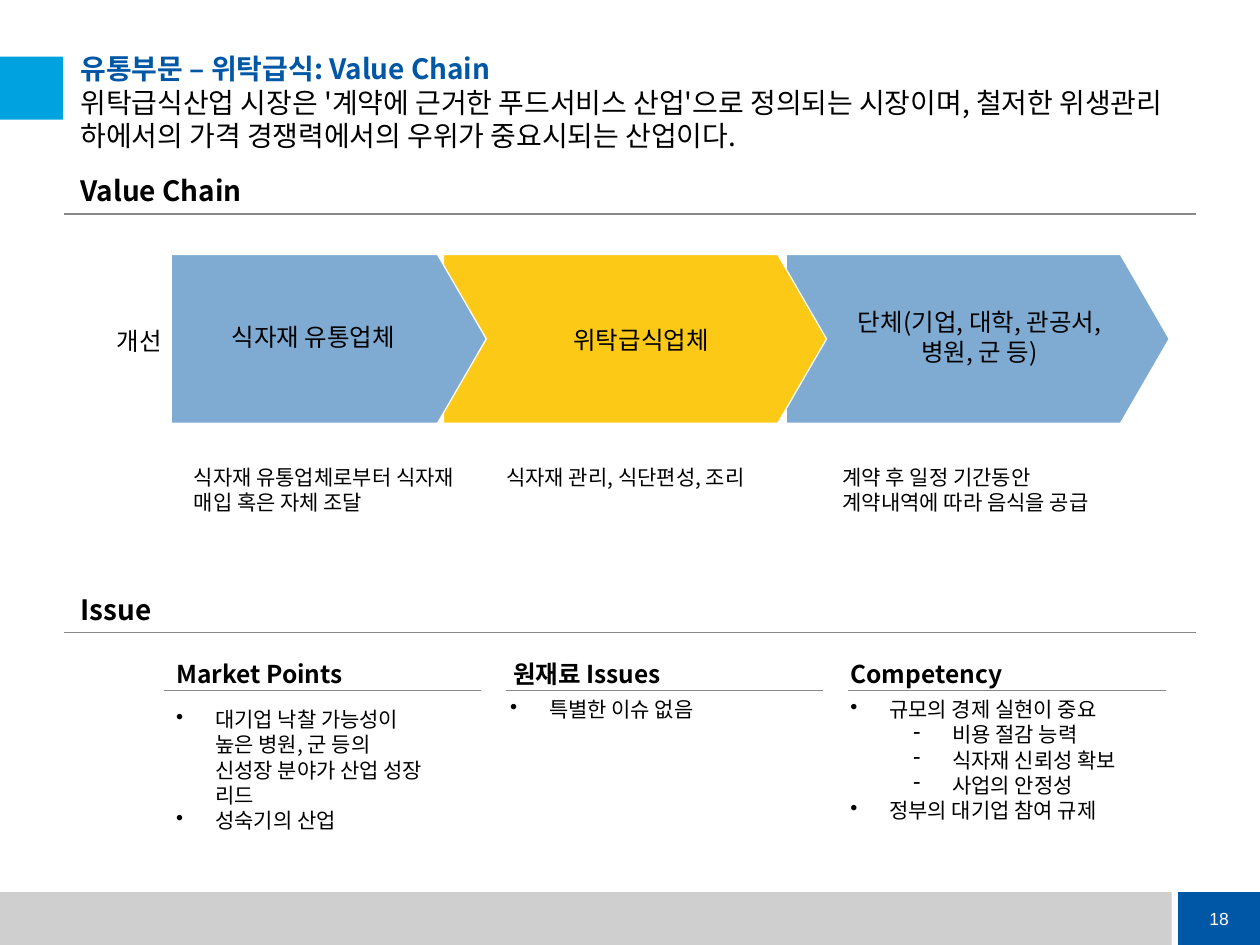
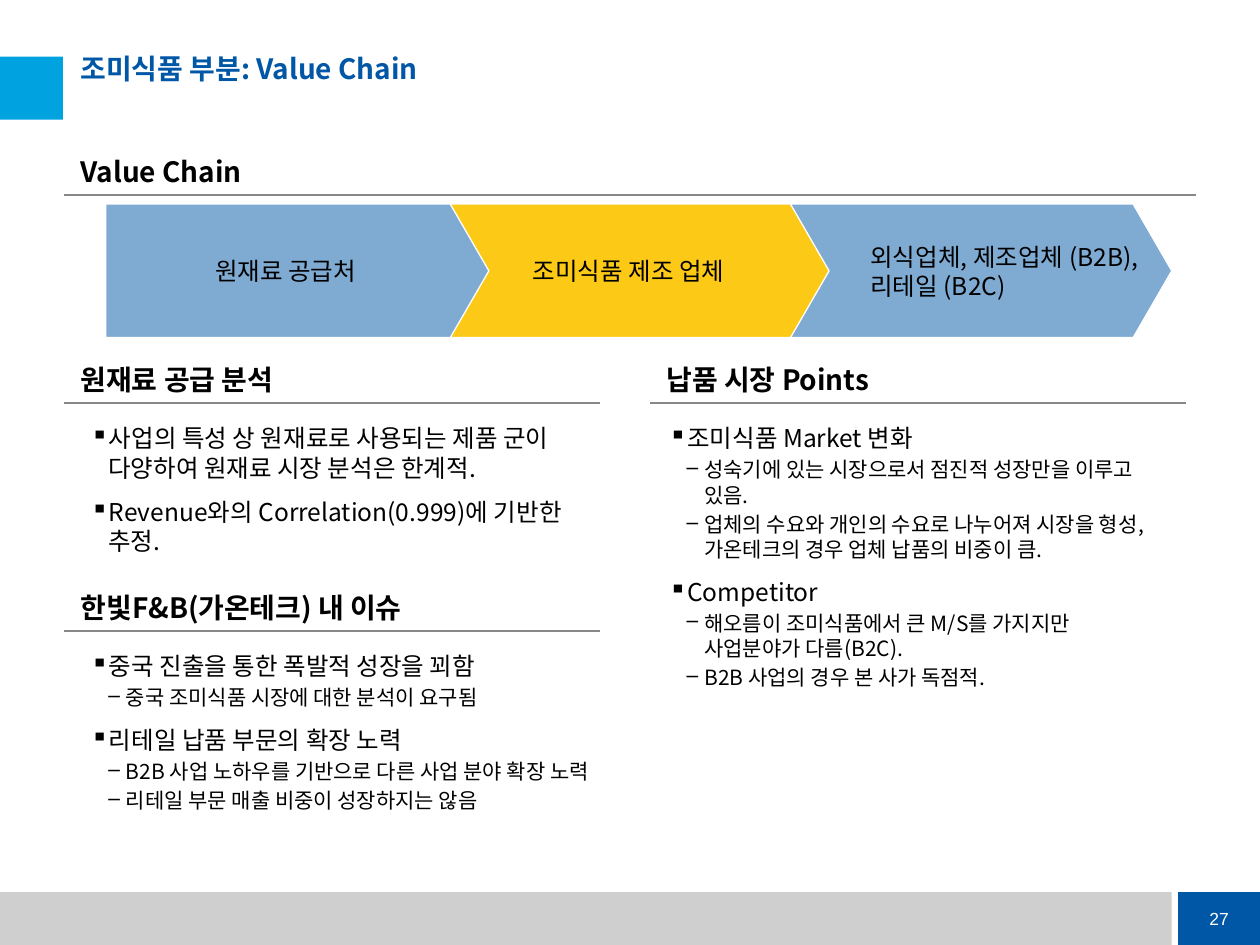
from lxml import etree
from pptx import Presentation
from pptx.dml.color import RGBColor
from pptx.enum.shapes import MSO_CONNECTOR, MSO_SHAPE
from pptx.enum.text import MSO_ANCHOR, PP_ALIGN
from pptx.oxml.ns import qn
from pptx.util import Inches, Pt

WHITE = RGBColor(0xFF, 0xFF, 0xFF)
BLACK = RGBColor(0, 0, 0)
GREY = RGBColor(0xCF, 0xCF, 0xCF)
RULE = RGBColor(0x88, 0x88, 0x88)
NAVY = RGBColor(0x00, 0x57, 0xA6)
CYAN = RGBColor(0x00, 0xA2, 0xDF)
BLUE = RGBColor(0x7F, 0xAB, 0xD2)
YELLOW = RGBColor(0xFC, 0xC9, 0x17)
FONT = "Noto Sans CJK KR"
STEP_COLORS = (BLUE, YELLOW, BLUE)


def style(r, size, color=BLACK, bold=False, name=FONT):
    f = r.font
    f.size, f.bold, f.name = Pt(size), bold, name
    f.color.rgb = color
    ea = etree.SubElement(r._r.get_or_add_rPr(), qn("a:ea"))
    ea.set("typeface", name)


def style_all(p, *args, **kwargs):
    for r in p.runs:
        style(r, *args, **kwargs)


def add_box(s, x, y, w, h, inset=True):
    tf = s.shapes.add_textbox(Inches(x), Inches(y), Inches(w), Inches(h)).text_frame
    tf.word_wrap = True
    if not inset:
        tf.margin_left = tf.margin_right = tf.margin_top = tf.margin_bottom = 0
    return tf


def add_text(s, x, y, w, h, text, size, bold=False, align=PP_ALIGN.LEFT, inset=True):
    p = add_box(s, x, y, w, h, inset).paragraphs[0]
    p.text = text
    p.alignment = align
    style_all(p, size, bold=bold)


def add_rule(s, x1, x2, y):
    ln = s.shapes.add_connector(
        MSO_CONNECTOR.STRAIGHT, Inches(x1), Inches(y), Inches(x2), Inches(y))
    ln.line.color.rgb = RULE
    ln.line.width = Pt(1)
    etree.SubElement(ln._element.spPr, qn("a:effectLst"))


def add_shape(s, kind, x, y, w, h, fill):
    sp = s.shapes.add_shape(kind, Inches(x), Inches(y), Inches(w), Inches(h))
    sp.shadow.inherit = False
    sp.fill.solid()
    sp.fill.fore_color.rgb = fill
    sp.line.fill.background()
    return sp


def add_chain(s, y, h, spans):
    for (x, w), color in reversed(list(zip(spans, STEP_COLORS))):
        sp = add_shape(s, MSO_SHAPE.PENTAGON, x, y, w, h, color)
        sp.adjustments[0] = 0.289
        sp.line.color.rgb = WHITE
        sp.line.width = Pt(0.75)


def add_section(s, x, y, text, width=4.25):
    add_text(s, x + 0.13, y - 0.32, 4.12, 0.25, text, 16, bold=True, inset=False)
    add_rule(s, x, x + width, y)


def set_bullet(p, char, left, hang):
    pPr = p._p.get_or_add_pPr()
    pPr.set("marL", str(Inches(left)))
    pPr.set("indent", str(-Inches(hang)))
    etree.SubElement(pPr, qn("a:buChar")).set("char", char)


def add_paragraphs(tf, items):
    for i, (level, text) in enumerate(items):
        p = tf.paragraphs[0] if i == 0 else tf.add_paragraph()
        p.text = text
        p.level = level
        yield i, level, p


def add_points(s, x, y, w, h, items):
    for _, level, p in add_paragraphs(add_box(s, x, y, w, h), items):
        set_bullet(p, "•-"[level], 0.31 + 0.5 * level, 0.31)
        style_all(p, 12)


def add_outline(s, x, y, h, items):
    for i, level, p in add_paragraphs(add_box(s, x, y, 3.97, h, inset=False), items):
        size, ratio = ((14, 0.6), (12, 0.2))[level]
        p.space_before = Pt(round(size * ratio, 1) if i else 0)
        set_bullet(p, "▪–"[level], 0.14 * (level + 1), 0.14)
        style_all(p, size)


def add_base_slide(prs, number, title, lead=""):
    s = prs.slides.add_slide(prs.slide_layouts[6])
    add_shape(s, MSO_SHAPE.RECTANGLE, 0, 7.08, 9.3, 0.42, GREY)
    tf = add_shape(s, MSO_SHAPE.RECTANGLE, 9.35, 7.08, 0.65, 0.42, NAVY).text_frame
    tf.text = str(number)
    tf.word_wrap = False
    tf.vertical_anchor = MSO_ANCHOR.MIDDLE
    p = tf.paragraphs[0]
    p.alignment = PP_ALIGN.CENTER
    style_all(p, 10, WHITE, name="Arial")
    add_shape(s, MSO_SHAPE.RECTANGLE, 0, 0.45, 0.5, 0.5, CYAN)
    p = add_box(s, 0.64, 0.41, 8.7, 0.66, inset=False).paragraphs[0]
    p.text = title
    style_all(p, 16, NAVY, bold=True)
    if lead:
        p.add_line_break()
        r = p.add_run()
        r.text = lead
        style(r, 16)
    return s


def build_catering(prs):
    s = add_base_slide(
        prs, 18, "유통부문 – 위탁급식: Value Chain",
        "위탁급식산업 시장은 '계약에 근거한 푸드서비스 산업'으로 정의되는 시장이며, "
        "철저한 위생관리 하에서의 가격 경쟁력에서의 우위가 중요시되는 산업이다.")
    add_section(s, 0.51, 1.7, "Value Chain", 8.98)
    add_section(s, 0.51, 5.02, "Issue", 8.98)

    add_chain(s, 2.02, 1.34, [(1.36, 2.5), (3.52, 3.04), (6.24, 3.04)])
    add_text(s, 0.83, 2.54, 0.6, 0.34, "개선", 14)
    add_text(s, 1.74, 2.51, 2.36, 0.34, "식자재 유통업체", 14)
    add_text(s, 4.21, 2.53, 1.76, 0.34, "위탁급식업체", 14, align=PP_ALIGN.CENTER)
    add_text(s, 6.71, 2.39, 2.13, 0.57, "단체(기업, 대학, 관공서, 병원, 군 등)", 14,
             align=PP_ALIGN.CENTER)

    for x, w, text in (
            (1.44, 2.3, "식자재 유통업체로부터 식자재 매입 혹은 자체 조달"),
            (3.92, 2.3, "식자재 관리, 식단편성, 조리"),
            (6.59, 2.36, "계약 후 일정 기간동안 계약내역에 따라 음식을 공급")):
        add_text(s, x, 3.64, w, 0.5, text, 12)

    for i, head in enumerate(("Market Points", "원재료 Issues", "Competency")):
        add_text(s, 1.3 + 2.675 * i, 5.18, 2.36, 0.34, head, 14, bold=True)
        x = 1.3 + 2.715 * i
        add_rule(s, x, x + 2.52, 5.48)
    add_points(s, 1.3, 5.56, 2.36, 1.31, [
        (0, "대기업 낙찰 가능성이\v높은 병원, 군 등의\v신성장 분야가 산업 성장 리드"),
        (0, "성숙기의 산업")])
    add_points(s, 3.95, 5.48, 2.36, 0.3, [(0, "특별한 이슈 없음")])
    add_points(s, 6.65, 5.48, 2.55, 1.11, [
        (0, "규모의 경제 실현이 중요"),
        (1, "비용 절감 능력"),
        (1, "식자재 신뢰성 확보"),
        (1, "사업의 안정성"),
        (0, "정부의 대기업 참여 규제")])


def build_seasoning(prs):
    s = add_base_slide(prs, 27, "조미식품 부분: Value Chain")
    add_chain(s, 1.62, 1.06, [(0.84, 3.04), (3.54, 3.04), (6.26, 3.04)])
    for x, y, text in (
            (1.61, 1.98, "원재료 공급처"),
            (4.13, 1.98, "조미식품 제조 업체"),
            (6.81, 1.87, "외식업체, 제조업체 (B2B), 리테일 (B2C)")):
        add_text(s, x, y, 2.36, 0.34, text, 14)

    add_section(s, 0.51, 1.55, "Value Chain", 8.98)
    add_section(s, 0.51, 3.2, "원재료 공급 분석")
    add_section(s, 0.51, 5.01, "한빛F&B(가온테크) 내 이슈")
    add_section(s, 5.16, 3.2, "납품 시장 Points")

    add_outline(s, 0.72, 3.36, 1.02, [
        (0, "사업의 특성 상 원재료로 사용되는 제품 군이 다양하여 원재료 시장 분석은 한계적."),
        (0, "Revenue와의 Correlation(0.999)에 기반한 추정.")])
    add_outline(s, 0.72, 5.17, 1.73, [
        (0, "중국 진출을 통한 폭발적 성장을 꾀함"),
        (1, "중국 조미식품 시장에 대한 분석이 요구됨"),
        (0, "리테일 납품 부문의 확장 노력"),
        (1, "B2B 사업 노하우를 기반으로 다른 사업 분야 확장 노력"),
        (1, "리테일 부문 매출 비중이 성장하지는 않음")])
    add_outline(s, 5.31, 3.36, 2.28, [
        (0, "조미식품 Market 변화"),
        (1, "성숙기에 있는 시장으로서 점진적 성장만을 이루고 있음."),
        (1, "업체의 수요와 개인의 수요로 나누어져 시장을 형성, 가온테크의 경우 업체 납품의 비중이 큼."),
        (0, "Competitor"),
        (1, "해오름이 조미식품에서 큰 M/S를 가지지만 사업분야가 다름(B2C)."),
        (1, "B2B 사업의 경우 본 사가 독점적.")])


def main():
    prs = Presentation()
    prs.slide_width, prs.slide_height = Inches(10), Inches(7.5)
    build_catering(prs)
    build_seasoning(prs)
    prs.save("out.pptx")


main()
